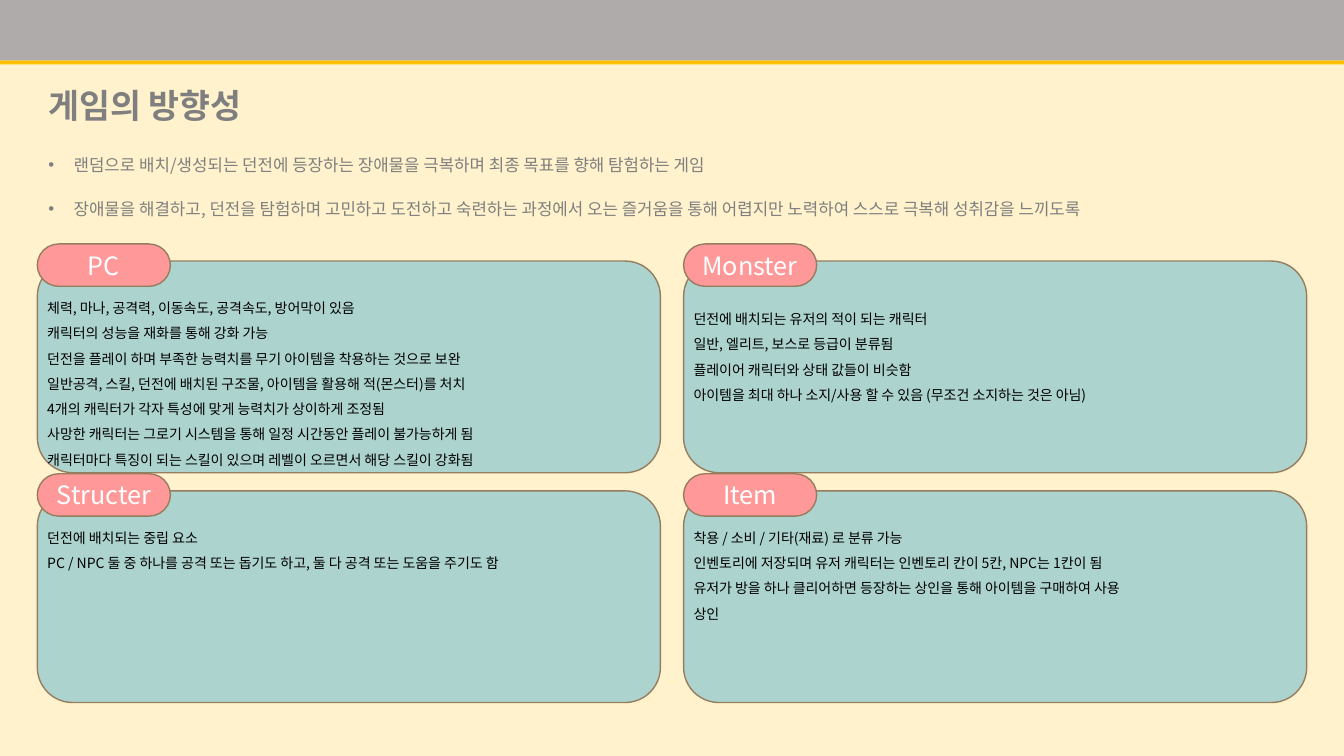
import dataclasses

import pptx
import pptx.dml.color
import pptx.enum.shapes
import pptx.enum.text
import pptx.oxml.ns
import pptx.util
from lxml import etree

Inches = pptx.util.Inches
Pt = pptx.util.Pt
Shapes = pptx.enum.shapes.MSO_SHAPE
Align = pptx.enum.text.PP_ALIGN
Anchor = pptx.enum.text.MSO_ANCHOR

FONT = "Noto Sans CJK KR"
COLORS = {
    "background": "FFF2CC",
    "header": "AFABAB",
    "header_edge": "FFC000",
    "heading": "7F7F7F",
    "panel": "ACD3CE",
    "tag": "FF9999",
    "outline": "967D5F",
    "tag_text": "FFFFFF",
    "panel_text": "000000",
}
PANEL_LEFT, PANEL_TOP = 0.37, 2.59
PANEL_WIDTH, PANEL_HEIGHT = 6.18, 2.1
COLUMN_STEP, ROW_STEP = 6.41, 2.28
TAG_WIDTH, TAG_HEIGHT, TAG_RISE = 1.32, 0.42, 0.17

TITLE = "게임의 방향성"
GOALS = [
    "랜덤으로 배치/생성되는 던전에 등장하는 장애물을 극복하며 최종 목표를 향해 탐험하는 게임",
    "장애물을 해결하고, 던전을 탐험하며 고민하고 도전하고 숙련하는 과정에서 오는 즐거움을 통해 "
    "어렵지만 노력하여 스스로 극복해 성취감을 느끼도록",
]


@dataclasses.dataclass
class Panel:
    name: str
    column: int
    row: int
    lines: list[str]
    text_offset: float = 0.25


PANELS = [
    Panel("PC", 0, 0, [
        "체력, 마나, 공격력, 이동속도, 공격속도, 방어막이 있음",
        "캐릭터의 성능을 재화를 통해 강화 가능",
        "던전을 플레이 하며 부족한 능력치를 무기 아이템을 착용하는 것으로 보완",
        "일반공격, 스킬, 던전에 배치된 구조물, 아이템을 활용해 적(몬스터)를 처치",
        "4개의 캐릭터가 각자 특성에 맞게 능력치가 상이하게 조정됨",
        "사망한 캐릭터는 그로기 시스템을 통해 일정 시간동안 플레이 불가능하게 됨",
        "캐릭터마다 특징이 되는 스킬이 있으며 레벨이 오르면서 해당 스킬이 강화됨",
    ]),
    Panel("Monster", 1, 0, [
        "던전에 배치되는 유저의 적이 되는 캐릭터",
        "일반, 엘리트, 보스로 등급이 분류됨",
        "플레이어 캐릭터와 상태 값들이 비슷함",
        "아이템을 최대 하나 소지/사용 할 수 있음 (무조건 소지하는 것은 아님)",
    ], text_offset=0.36),
    Panel("Item", 1, 1, [
        "착용 / 소비 / 기타(재료) 로 분류 가능",
        "인벤토리에 저장되며 유저 캐릭터는 인벤토리 칸이 5칸, NPC는 1칸이 됨",
        "유저가 방을 하나 클리어하면 등장하는 상인을 통해 아이템을 구매하여 사용",
        "상인",
    ]),
    Panel("Structer", 0, 1, [
        "던전에 배치되는 중립 요소",
        "PC / NPC 둘 중 하나를 공격 또는 돕기도 하고, 둘 다 공격 또는 도움을 주기도 함",
    ]),
]


def rgb(name: str) -> pptx.dml.color.RGBColor:
    return pptx.dml.color.RGBColor.from_string(COLORS[name])


def write_text(shape, lines: list[str], size: float, color: str, align=Align.LEFT,
               anchor=Anchor.TOP, spacing: float = 1.5, bold: bool = False) -> None:
    frame = shape.text_frame
    frame.text = "\n".join(lines)
    frame.word_wrap = True
    frame.auto_size = pptx.enum.text.MSO_AUTO_SIZE.NONE
    frame.vertical_anchor = anchor
    for para in frame.paragraphs:
        para.alignment = align
        para.line_spacing = spacing
        para.space_before = Pt(0)
        for span in para.runs:
            font = span.font
            font.size, font.bold, font.name = Pt(size), bold, FONT
            font.color.rgb = rgb(color)
            latin = span._r.rPr.find(pptx.oxml.ns.qn("a:latin"))
            latin.addnext(etree.Element(pptx.oxml.ns.qn("a:ea"), typeface=FONT))


def add_filled_shape(page, kind, left: float, top: float, width: float, height: float,
                     fill: str, outline: str | None = None):
    shape = page.shapes.add_shape(kind, Inches(left), Inches(top), Inches(width), Inches(height))
    shape.shadow.inherit = False
    shape.fill.solid()
    shape.fill.fore_color.rgb = rgb(fill)
    if outline:
        shape.line.color.rgb = rgb(outline)
        shape.line.width = Pt(1)
    else:
        shape.line.fill.background()
    return shape


def place(shape, left: float, top: float, width: float, height: float) -> None:
    shape.left, shape.top = Inches(left), Inches(top)
    shape.width, shape.height = Inches(width), Inches(height)


def add_panel(page, panel: Panel) -> None:
    left = PANEL_LEFT + panel.column * COLUMN_STEP
    top = PANEL_TOP + panel.row * ROW_STEP
    add_filled_shape(page, Shapes.FLOWCHART_ALTERNATE_PROCESS, left, top,
                     PANEL_WIDTH, PANEL_HEIGHT, "panel", "outline")
    tag = add_filled_shape(page, Shapes.FLOWCHART_TERMINATOR, left, top - TAG_RISE,
                           TAG_WIDTH, TAG_HEIGHT, "tag", "outline")
    write_text(tag, [panel.name], 18, "tag_text", Align.CENTER, Anchor.MIDDLE, spacing=1.0)
    text_height = 0.1 + 0.25 * len(panel.lines)
    box = page.shapes.add_textbox(Inches(left), Inches(top + panel.text_offset),
                                  Inches(PANEL_WIDTH), Inches(text_height))
    write_text(box, panel.lines, 10, "panel_text")


def add_headings(page) -> None:
    title, body = page.shapes.title, page.placeholders[1]
    place(title, 0.38, 0.64, 12.57, 0.6)
    write_text(title, [TITLE], 24, "heading", anchor=Anchor.MIDDLE, bold=True)
    place(body, 0.38, 1.38, 12.57, 0.78)
    write_text(body, GOALS, 12, "heading")
    for para in body.text_frame.paragraphs:
        para.space_before = Pt(10)
        properties = para._p.get_or_add_pPr()
        properties.set("marL", str(Inches(0.25)))
        properties.set("indent", str(Inches(-0.25)))


def main() -> None:
    deck = pptx.Presentation()
    deck.slide_width, deck.slide_height = Inches(13.33), Inches(7.5)
    page = deck.slides.add_slide(deck.slide_layouts[1])
    page.background.fill.solid()
    page.background.fill.fore_color.rgb = rgb("background")
    add_filled_shape(page, Shapes.RECTANGLE, 0, 0.6, 13.33, 0.04, "header_edge")
    add_filled_shape(page, Shapes.RECTANGLE, 0, 0, 13.33, 0.6, "header")
    add_headings(page)
    for panel in PANELS:
        add_panel(page, panel)
    deck.save("out.pptx")


if __name__ == "__main__":
    main()
